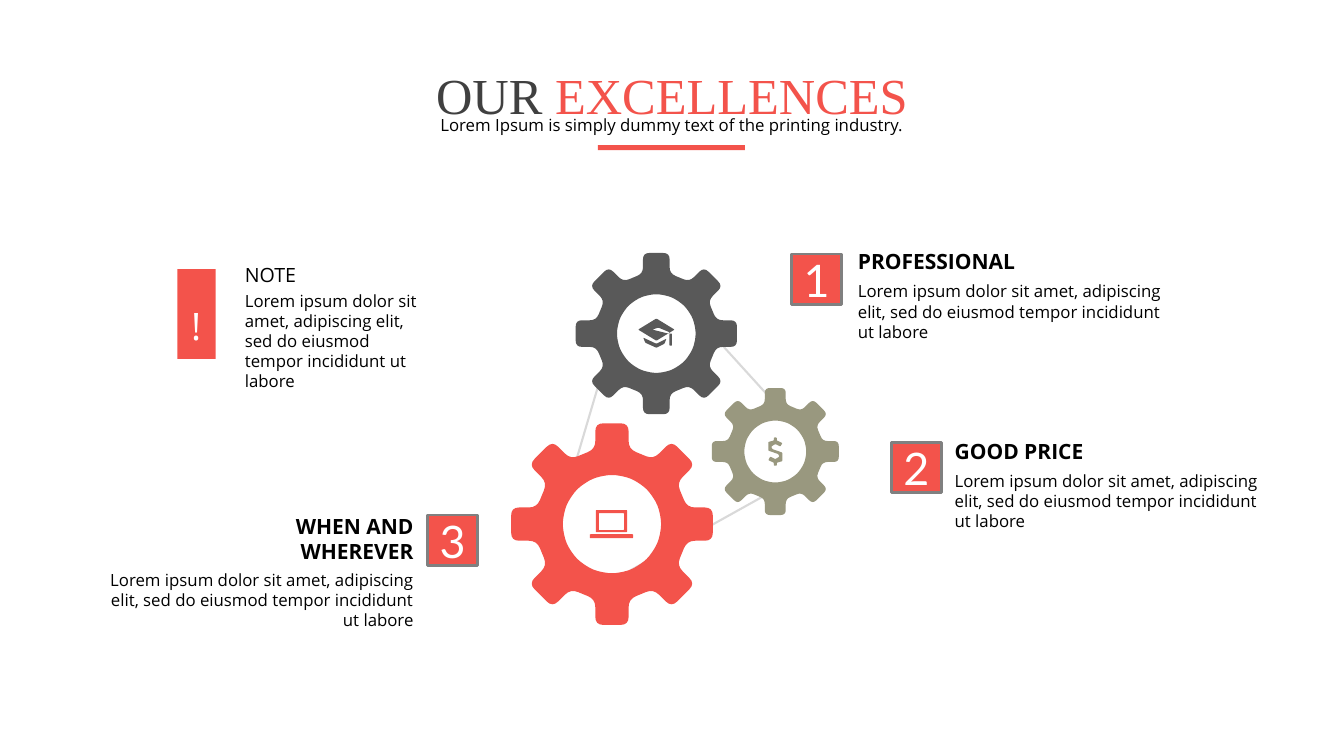
from math import cos, dist, pi, sin

from lxml import etree
from pptx import Presentation
from pptx.dml.color import RGBColor as RGB
from pptx.enum.shapes import MSO_CONNECTOR as LINK, MSO_SHAPE as SHAPE
from pptx.enum.text import MSO_ANCHOR as ANCHOR, PP_ALIGN as ALIGN
from pptx.oxml.ns import qn
from pptx.util import Inches, Pt

HUE = {"red": "F3534B", "dark": "595959", "olive": "99987F", "grey": "808080",
       "pale": "D9D9D9", "ink": "404040", "black": "000000", "white": "FFFFFF"}
SANS = "Open Sans"
LOREM = "Lorem ipsum dolor sit amet, adipiscing elit, sed do eiusmod tempor incididunt ut labore"
LEFT, RIGHT, CENTER = ALIGN.LEFT, ALIGN.RIGHT, ALIGN.CENTER


def write(frame, runs, font, size, align=LEFT, bold=False, pad=(0.1, 0.05), anchor=ANCHOR.TOP):
    frame.word_wrap = True
    frame.vertical_anchor = anchor
    frame.margin_left = frame.margin_right = Inches(pad[0])
    frame.margin_top = frame.margin_bottom = Inches(pad[1])
    para = frame.paragraphs[0]
    para.alignment = align
    for text, hue in runs:
        run = para.add_run()
        run.text = text
        run.font.name = font
        run.font.size = Pt(size)
        run.font.bold = bold
        run.font.color.rgb = RGB.from_string(HUE[hue])
    return para


def draw(group, rings, cut, mid, scale, hue):
    pen = None
    for ring in rings:
        spots = []
        for prior, corner, after in zip(ring[-1:] + ring[:-1], ring, ring[1:] + ring[:1]):
            start, end = [[c + (n - c) * cut / dist(corner, near) for c, n in zip(corner, near)]
                          for near in (prior, after)]
            for t in (0, 0.25, 0.5, 0.75, 1):
                spots.append([Inches(m + scale * ((1 - t) ** 2 * s + 2 * t * (1 - t) * c + t * t * e))
                              for m, s, c, e in zip(mid, start, corner, end)])
        if pen:
            pen.move_to(*spots[0])
        else:
            pen = group.shapes.build_freeform(*spots[0])
        pen.add_line_segments(spots[1:], close=True)
    form = pen.convert_to_shape()
    form.shadow.inherit = False
    form.fill.solid()
    form.fill.fore_color.rgb = RGB.from_string(HUE[hue])
    form.line.fill.background()


deck = Presentation()
deck.slide_width, deck.slide_height = Inches(13.33), Inches(7.5)
slide = deck.slides.add_slide(deck.slide_layouts[6])
shapes = slide.shapes

for x1, y1, x2, y2 in [(6.76, 2.98, 7.94, 4.28), (7.9, 4.74, 6.25, 5.66), (6.13, 3.16, 5.54, 5.16)]:
    link = shapes.add_connector(LINK.STRAIGHT, Inches(x1), Inches(y1), Inches(x2), Inches(y2))
    link.line.color.rgb = RGB.from_string(HUE["pale"])
    link.line.width = Pt(1.5)
    etree.SubElement(link._element.spPr, qn("a:effectLst"))

tooth = [(-16.5, -74.5), (-16.5, -100), (16.5, -100), (16.5, -74.5)]
turns = [i * pi / 4 for i in range(8)]
rim = [(x * cos(a) - y * sin(a), x * sin(a) + y * cos(a)) for a in turns for x, y in tooth]
hole = [(49.5 * cos(i * pi / 8), 49.5 * sin(i * pi / 8)) for i in range(16)]

screen, glass, base, tassel = [
    [(l, t), (r, t), (r, b), (l, b)]
    for l, t, r, b in [(-16, -14, 15, 8), (-13, -11, 12, 6), (-22, 10, 21, 14), (13, 0, 15.5, 12)]]
board = [(0, -15), (18, -4), (0, 7), (-18, -4)]
cord = [(-4, -4), (2, -6), (14, -1), (12, 0)]
bowl = [(-13, 4), (0, 10), (10, 5), (8, 10), (0, 14), (-11, 9)]
curl = [(1.5, 11), (1.5, 14), (-1.5, 14), (-1.5, 11), (-7, 8.5), (-5, 5),
        (0, 7.5), (4, 5), (3, 2.5), (-7, -1), (-7, -9.5)]
dollar = curl + [(-x, -y) for x, y in curl]

for mid, size, hue, icon in [((6.51, 3.31), 0.8, "dark", [board, cord, bowl, tassel]),
                             ((7.69, 4.48), 0.63, "olive", [dollar]),
                             ((6.07, 5.2), 1, "red", [screen, glass, base])]:
    gear = shapes.add_group_shape()
    draw(gear, [rim, hole], 8, mid, size / 100, hue)
    draw(gear, icon, 1, mid, 0.01, hue)

for *spot, mark in [(1.76, 2.67, 0.38, 0.89, ""), (5.93, 1.44, 1.46, 0.05, ""),
                    (7.85, 2.52, 0.5, 0.5, "1"), (8.84, 4.39, 0.5, 0.5, "2"), (4.24, 5.11, 0.5, 0.5, "3")]:
    tile = shapes.add_shape(SHAPE.RECTANGLE, *map(Inches, spot))
    tile.shadow.inherit = False
    tile.fill.solid()
    tile.fill.fore_color.rgb = RGB.from_string(HUE["red"])
    if mark:
        tile.line.color.rgb = RGB.from_string(HUE["grey"])
        tile.line.width = Pt(2)
        write(tile.text_frame, [(mark, "white")], "Lato", 32, CENTER, pad=(0, 0), anchor=ANCHOR.MIDDLE)
    else:
        tile.line.fill.background()

for head, size, bold, align, edge, top, drop, width, height in [
        ("PROFESSIONAL", 15, True, LEFT, 8.41, 2.42, 0.32, 3.25, 0.89),
        ("GOOD PRICE", 15, True, LEFT, 9.37, 4.3, 0.32, 3.25, 0.89),
        ("WHEN AND WHEREVER", 15, True, RIGHT, 4.2, 5.04, 0.56, 3.25, 0.89),
        ("NOTE", 14, False, LEFT, 2.33, 2.56, 0.27, 1.91, 1.08)]:
    for text, points, heavy, y, w, h in [(head, size, bold, top, 2.41, 0.32),
                                         (LOREM, 12, False, top + drop, width, height)]:
        x = edge - w if align == RIGHT else edge
        box = shapes.add_textbox(Inches(x), Inches(y), Inches(w), Inches(h))
        write(box.text_frame, [(text, "black")], SANS, points, align, heavy)

alert = shapes.add_textbox(Inches(1.66), Inches(2.82), Inches(0.57), Inches(0.59))
para = write(alert.text_frame, [("!", "white")], SANS, 27, CENTER, anchor=ANCHOR.MIDDLE)
para.line_spacing = Pt(48)

title = shapes.add_textbox(Inches(3.91), Inches(0.65), Inches(5.51), Inches(0.58))
write(title.text_frame, [("OUR ", "ink"), ("EXCELLENCES", "red")], "Times New Roman", 36, CENTER,
      anchor=ANCHOR.MIDDLE)
motto = shapes.add_textbox(Inches(3.91), Inches(1.08), Inches(5.51), Inches(0.33))
write(motto.text_frame, [("Lorem Ipsum is simply dummy text of the printing industry.", "black")], SANS, 12,
      CENTER, pad=(0.13, 0.06))

deck.save("out.pptx")
